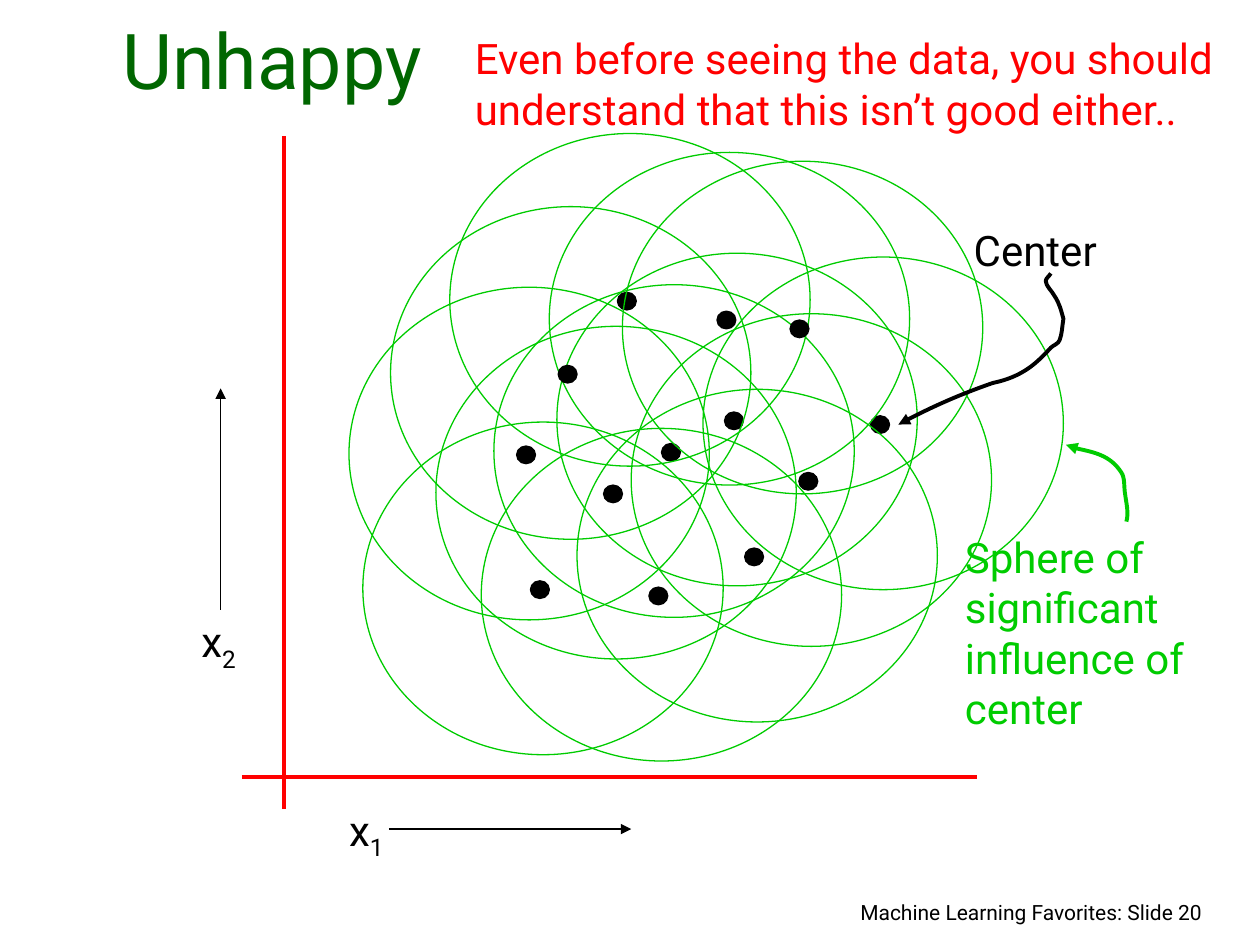
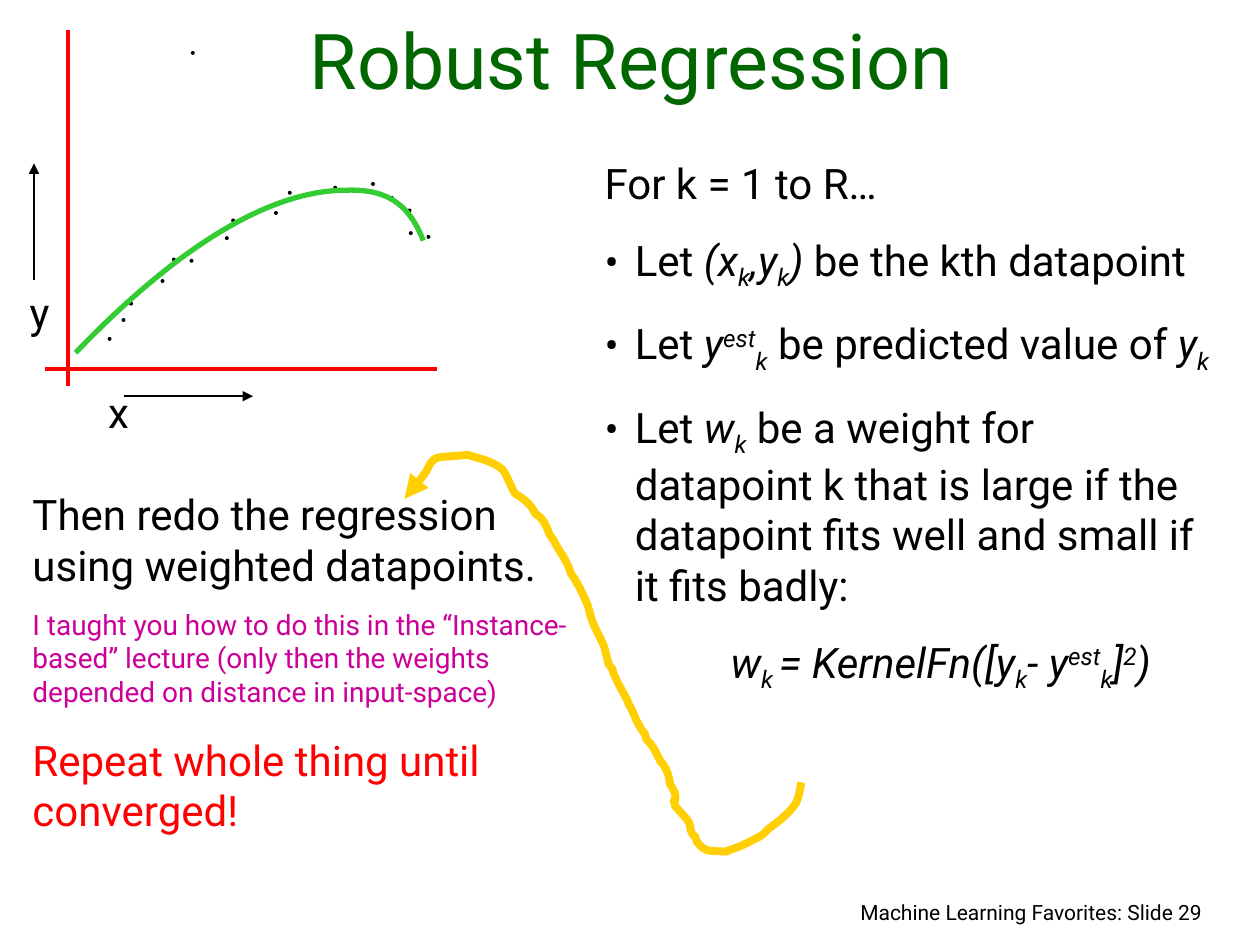
from lxml import etree
from pptx import Presentation
from pptx.dml.color import RGBColor
from pptx.enum.shapes import MSO_CONNECTOR as CONNECTOR, MSO_SHAPE as SHAPE
from pptx.enum.text import MSO_ANCHOR as ANCHOR, PP_ALIGN as ALIGN
from pptx.oxml.ns import qn
from pptx.util import Inches, Pt

FONT = "Roboto"
BLACK, RED, GREEN, TITLE_GREEN = "000000", "FF0000", "00CC00", "006600"
CURVE_GREEN, MAGENTA, GOLD = "33CC33", "CC0099", "FFCF01"
SUB, SUP = -25000, 30000
BULLET_INDENT = 0.24


def color(hex_string):
    return RGBColor.from_string(hex_string)


# ---- Text ----

def add_run(paragraph, text, size, ink, italic=False, baseline=0):
    run = paragraph.add_run()
    run.text = text
    for name, value in {"name": FONT, "size": Pt(size), "italic": italic}.items():
        setattr(run.font, name, value)
    run.font.color.rgb = color(ink)
    if baseline:
        run._r.get_or_add_rPr().set("baseline", str(baseline))


def indent(paragraph, margin, bullet=False):
    properties = paragraph._p.get_or_add_pPr()
    properties.set("marL", str(Inches(margin)))
    properties.set("indent", str(-Inches(margin) if bullet else 0))
    if bullet:
        etree.SubElement(properties, qn("a:buFont")).set("typeface", FONT)
        etree.SubElement(properties, qn("a:buChar")).set("char", "•")


def add_text(slide, box, paragraphs, anchor=ANCHOR.TOP):
    """Each paragraph is a dict; its runs are (text, italic, baseline) tuples."""
    frame = slide.shapes.add_textbox(*map(Inches, box)).text_frame
    frame.word_wrap = True
    frame.vertical_anchor = anchor
    for index, item in enumerate(paragraphs):
        paragraph = frame.add_paragraph() if index else frame.paragraphs[0]
        paragraph.alignment = item.get("align", ALIGN.LEFT)
        paragraph.space_before = Pt(item.get("before", 15))
        if "margin" in item:
            indent(paragraph, item["margin"], item.get("bullet", False))
        for run in item["runs"]:
            add_run(paragraph, run[0], item.get("size", 24),
                    item.get("ink", BLACK), *run[1:])


def plain(text, **formats):
    return {"runs": [(text,)], **formats}


# ---- Lines and shapes ----

def style_line(shape, ink, width, arrow=False):
    shape.line.color.rgb = color(ink)
    shape.line.width = Pt(width)
    if arrow:
        tail = etree.SubElement(shape.line._get_or_add_ln(), qn("a:tailEnd"))
        tail.set("type", "triangle")


def add_line(slide, start, end, ink, width, arrow=False):
    line = slide.shapes.add_connector(CONNECTOR.STRAIGHT, *map(Inches, (*start, *end)))
    style_line(line, ink, width, arrow)
    etree.SubElement(line._element.spPr, qn("a:effectLst"))


def add_ellipse(shapes, box, ink, filled):
    ellipse = shapes.add_shape(SHAPE.OVAL, *map(Inches, box))
    ellipse.shadow.inherit = False
    if filled:
        ellipse.fill.solid()
        ellipse.fill.fore_color.rgb = color(ink)
    else:
        ellipse.fill.background()
    style_line(ellipse, ink, 0.75)


def add_curve(slide, points, ink, width, arrow=False):
    """Draw a start point followed by triples of Bezier points."""
    start, *rest = [(Inches(x), Inches(y)) for x, y in points]
    builder = slide.shapes.build_freeform(*start)
    builder.add_line_segments(rest, close=False)
    curve = builder.convert_to_shape()
    curve.shadow.inherit = False
    curve.fill.background()
    style_line(curve, ink, width, arrow)
    # Turn every three straight segments into one cubic segment
    path = curve._element.find(".//" + qn("a:path"))
    segments = path.findall(qn("a:lnTo"))
    for first in range(0, len(segments), 3):
        cubic = etree.SubElement(path, qn("a:cubicBezTo"))
        for segment in segments[first:first + 3]:
            cubic.append(segment[0])
            path.remove(segment)


# ---- Parts the slides share ----

def add_base(presentation, title, title_width, number):
    slide = presentation.slides.add_slide(presentation.slide_layouts[6])
    add_text(slide, (5.72, 7.09, 3.92, 0.33),
             [plain(f"Machine Learning Favorites: Slide {number}",
                    size=12, before=7.5, align=ALIGN.RIGHT)])
    add_text(slide, (0.25, 0.17, title_width, 0.71),
             [plain(title, size=44, before=0, ink=TITLE_GREEN, align=ALIGN.CENTER)],
             ANCHOR.BOTTOM)
    return slide


def add_axes(slide, box, x_runs, y_runs, label_size):
    left, top, width, height = box

    def at(x, y):
        return left + x * width, top + y * height

    # Red axes, crossing near the lower left corner
    add_line(slide, at(0.057, 0), at(0.057, 1), RED, 2.25)
    add_line(slide, at(0, 0.953), at(1, 0.953), RED, 2.25)
    # Direction arrows with their labels
    add_line(slide, at(0.2, 1.03), at(0.53, 1.03), BLACK, 1, arrow=True)
    add_line(slide, at(-0.029, 0.704), at(-0.029, 0.375), BLACK, 1, arrow=True)
    add_text(slide, (*at(0.129, 0.984), *label_size), [{"runs": x_runs}])
    add_text(slide, (*at(-0.072, 0.704), *label_size), [{"runs": y_runs}])


# ---- Slide: Unhappy ----

DOT_SIZE = (0.15, 0.14)
SPHERE_SIZE = (2.86, 2.64)
SPHERE_OFFSET = (1.33, 1.26)
CENTERS = [(4.79, 3.85), (6.91, 3.3), (5.25, 3.52), (5.15, 4.66), (5.91, 4.35),
           (4.1, 3.54), (5.69, 2.47), (5.75, 3.27), (4.9, 2.32), (4.21, 4.61),
           (4.43, 2.9), (6.34, 3.75), (6.27, 2.54)]
SPHERE_POINTER = [(8.94, 4.14), (8.96, 4.07), (8.94, 4), (8.93, 3.92),
                  (8.92, 3.87), (8.93, 3.79), (8.9, 3.75),
                  (8.81, 3.61), (8.68, 3.59), (8.55, 3.56),
                  (8.51, 3.55), (8.49, 3.53), (8.46, 3.53)]
CENTER_POINTER = [(8.34, 2.17), (8.33, 2.19), (8.3, 2.21), (8.3, 2.23),
                  (8.3, 2.27), (8.35, 2.31), (8.37, 2.35),
                  (8.41, 2.41), (8.42, 2.46), (8.44, 2.53),
                  (8.43, 2.59), (8.43, 2.65), (8.41, 2.7),
                  (8.4, 2.73), (8.36, 2.74), (8.34, 2.76),
                  (8.23, 2.88), (8.12, 2.99), (7.88, 3.04),
                  (7.62, 3.13), (7.35, 3.25), (7.13, 3.37)]


def add_sphere(slide, left, top):
    group = slide.shapes.add_group_shape()
    add_ellipse(group.shapes, (left, top, *DOT_SIZE), BLACK, filled=True)
    add_ellipse(group.shapes,
                (left - SPHERE_OFFSET[0], top - SPHERE_OFFSET[1], *SPHERE_SIZE),
                GREEN, filled=False)


def build_unhappy(presentation):
    slide = add_base(presentation, "Unhappy", 3.82, 20)
    add_axes(slide, (1.92, 1.08, 5.83, 5.34),
             [("x",), ("1", False, SUB)], [("x",), ("2", False, SUB)], (0.5, 0.56))
    for center in CENTERS:
        add_sphere(slide, *center)
    # Callouts
    add_text(slide, (7.63, 1.73, 2.36, 0.5), [plain("Center")])
    add_text(slide, (7.56, 4.17, 2.26, 1.7),
             [plain("Sphere of significant influence of center", ink=GREEN)])
    add_curve(slide, SPHERE_POINTER, GREEN, 2.25, arrow=True)
    add_curve(slide, CENTER_POINTER, BLACK, 2.25, arrow=True)
    add_text(slide, (3.67, 0.21, 6.26, 1.3),
             [plain("Even before seeing the data, you should understand "
                    "that this isn’t good either..", ink=RED)])


# ---- Slide: Robust Regression ----

POINT_SIZE = 0.02
DATAPOINTS = [(3.1, 1.56), (1.79, 1.88), (1.03, 2.4), (0.86, 2.68), (1.28, 2.22),
              (1.51, 2.06), (3.39, 1.87), (2.5, 1.52), (2.95, 1.45), (2.18, 1.68),
              (3.25, 1.84), (1.52, 0.41), (0.97, 2.53), (1.84, 1.74), (1.37, 2.05),
              (2.29, 1.52), (3.24, 1.66), (2.65, 1.48)]
FIT = [(3.36, 1.91), (3.24, 1.6), (3.05, 1.5), (2.75, 1.51),
       (2.1, 1.51), (1.35, 2.02), (0.6, 2.8)]
REDO_ARROW = [(6.36, 6.21), (6.35, 6.26), (6.34, 6.33), (6.32, 6.37),
              (6.27, 6.45), (6.18, 6.52), (6.11, 6.57),
              (6.06, 6.61), (6.08, 6.61), (6.03, 6.64),
              (5.97, 6.67), (5.9, 6.71), (5.84, 6.73),
              (5.81, 6.74), (5.76, 6.76), (5.76, 6.76),
              (5.63, 6.75), (5.6, 6.77), (5.53, 6.68),
              (5.5, 6.58), (5.55, 6.7), (5.49, 6.61),
              (5.48, 6.59), (5.48, 6.56), (5.47, 6.53),
              (5.44, 6.48), (5.39, 6.44), (5.36, 6.4),
              (5.33, 6.29), (5.36, 6.43), (5.36, 6.32),
              (5.36, 6.29), (5.33, 6.24), (5.32, 6.23),
              (5.31, 6.16), (5.29, 6.09), (5.24, 6.04),
              (5.21, 5.98), (5.18, 5.91), (5.13, 5.87),
              (5.11, 5.79), (5.14, 5.87), (5.08, 5.77),
              (5.04, 5.71), (5.03, 5.65), (4.99, 5.59),
              (4.97, 5.53), (4.95, 5.51), (4.92, 5.45),
              (4.81, 5.24), (4.91, 5.38), (4.83, 5.27),
              (4.82, 5.23), (4.81, 5.19), (4.8, 5.15),
              (4.78, 5.08), (4.73, 5.01), (4.71, 4.95),
              (4.68, 4.89), (4.68, 4.83), (4.65, 4.77),
              (4.62, 4.7), (4.58, 4.62), (4.53, 4.55),
              (4.51, 4.47), (4.45, 4.39), (4.41, 4.32),
              (4.4, 4.29), (4.36, 4.24), (4.36, 4.24),
              (4.34, 4.18), (4.31, 4.11), (4.25, 4.08),
              (4.22, 4.01), (4.16, 3.96), (4.09, 3.92),
              (4.06, 3.88), (4.02, 3.76), (3.99, 3.73),
              (3.92, 3.66), (3.8, 3.64), (3.71, 3.61),
              (3.64, 3.62), (3.56, 3.62), (3.49, 3.63),
              (3.41, 3.64), (3.41, 3.71), (3.37, 3.76),
              (3.35, 3.79), (3.33, 3.81), (3.31, 3.84),
              (3.28, 3.88), (3.21, 3.92), (3.21, 3.96)]


def add_algorithm(slide, box):
    k, est, y = ("k", True, SUB), ("est", True, SUP), ("y", True)
    bullets = [
        [("Let ",), ("(x", True), k, (",y", True), k, (")", True),
         (" be the kth datapoint",)],
        [("Let ",), y, est, k, (" be predicted value of ",), y, k],
        [("Let ",), ("w", True), k,
         (" be a weight for datapoint k that is large if the datapoint "
          "fits well and small if it fits badly:",)],
    ]
    formula = [("w", True), ("k ", True, SUB), ("= KernelFn([y", True), k,
               ("- y", True), est, k, ("]", True), ("2", True, SUP), (")", True)]
    add_text(slide, box, [
        plain("For k = 1 to R…"),
        *({"runs": runs, "margin": BULLET_INDENT, "bullet": True} for runs in bullets),
        {"runs": formula, "margin": 1},
    ])


def build_robust_regression(presentation):
    slide = add_base(presentation, "Robust Regression", 9.53, 29)
    add_axes(slide, (0.36, 0.24, 3.11, 2.82), [("x",)], [("y",)], (0.27, 0.5))
    for point in DATAPOINTS:
        add_ellipse(slide.shapes, (*point, POINT_SIZE, POINT_SIZE), BLACK, filled=True)
    add_algorithm(slide, (4.7, 1.2, 5.01, 4.81))
    # Next steps
    add_text(slide, (0.16, 3.83, 4.77, 2.85), [
        plain("Then redo the regression using weighted datapoints."),
        plain("I taught you how to do this in the “Instance-based” lecture (only then "
              "the weights depended on distance in input-space)",
              size=16, before=10, ink=MAGENTA),
        plain("Repeat whole thing until converged!", ink=RED),
    ])
    add_curve(slide, FIT, CURVE_GREEN, 3)
    add_curve(slide, REDO_ARROW, GOLD, 4.5, arrow=True)


def main():
    presentation = Presentation()
    presentation.slide_width, presentation.slide_height = Inches(10), Inches(7.5)
    build_unhappy(presentation)
    build_robust_regression(presentation)
    presentation.save("out.pptx")


if __name__ == "__main__":
    main()
